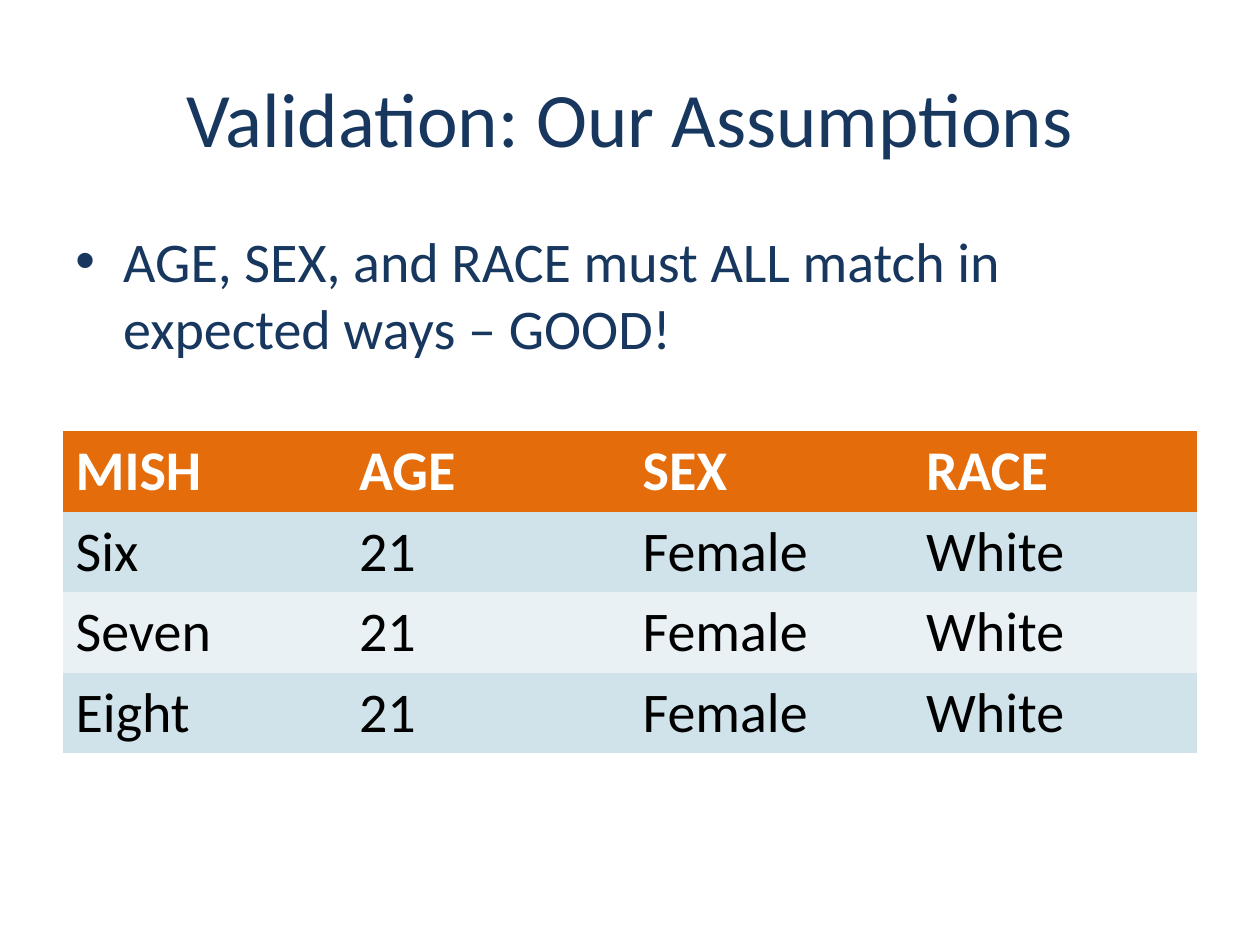
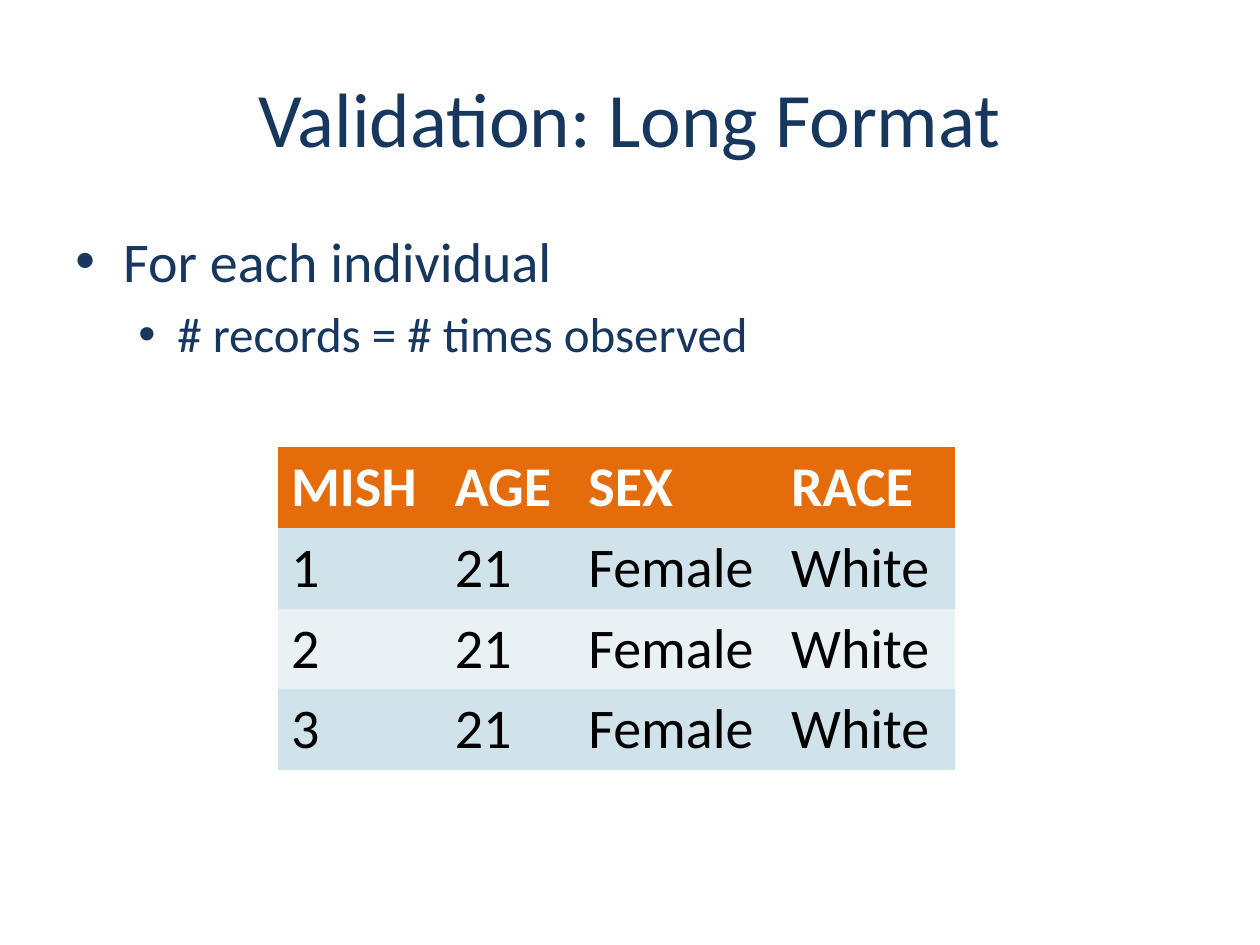
import pptx
import pptx.dml.color
import pptx.enum.text
import pptx.oxml.ns
import pptx.util
from lxml import etree

Inches = pptx.util.Inches
Pt = pptx.util.Pt
RGBColor = pptx.dml.color.RGBColor

# Content: (bullet level, text), table rows, table position and column widths
HEADER = ("MISH", "AGE", "SEX", "RACE")
PERSON = ("21", "Female", "White")
SLIDES = [
    {
        "title": "Validation: Our Assumptions",
        "bullets": [(0, "AGE, SEX, and RACE must ALL match in expected ways – GOOD!")],
        "row_names": ("Six", "Seven", "Eight"),
        "table_at": (0.5, 3.42),
        "columns": (2.25,) * 4,
    },
    {
        "title": "Validation: Long Format",
        "bullets": [(0, "For each individual"), (1, "# records = # times observed")],
        "row_names": ("1", "2", "3"),
        "table_at": (2.21, 3.55),
        "columns": (1.3, 1.06, 1.61, 1.4),
    },
]

# Shared look
NAVY = RGBColor(0x17, 0x37, 0x5E)
ORANGE = RGBColor(0xE4, 0x6C, 0x0A)
WHITE = RGBColor(0xFF, 0xFF, 0xFF)
BLACK = RGBColor(0, 0, 0)
BANDS = (RGBColor(0xD0, 0xE3, 0xEA), RGBColor(0xE9, 0xF1, 0xF5))
PLAIN_TABLE_STYLE = "{2D5ABB26-0587-4C30-8999-92F81FD0307C}"

SLIDE_SIZE = (10, 7.5)
MARGIN = 0.5
CONTENT_WIDTH = SLIDE_SIZE[0] - 2 * MARGIN
TITLE_BOX = (MARGIN, 0.3, CONTENT_WIDTH, 1.25)
BODY_BOX = (MARGIN, 1.75, CONTENT_WIDTH, 4.95)
ROW_HEIGHT = 0.64

TITLE_FONT = {"name": "Calibri", "size": Pt(44), "bold": False}
TABLE_FONT = {"name": "Calibri", "size": Pt(32)}
# Bullet levels: text size, left indent, hanging indent
LEVELS = ((32, 0.38, 0.38), (28, 0.81, 0.31))


def write(paragraph, text, color, font_values):
    run = paragraph.add_run()
    run.text = text
    for name, value in font_values.items():
        setattr(run.font, name, value)
    run.font.color.rgb = color


def add_title(slide, text):
    title = slide.shapes.title
    for name, value in zip(("left", "top", "width", "height"), TITLE_BOX):
        setattr(title, name, Inches(value))
    title.text_frame.vertical_anchor = pptx.enum.text.MSO_ANCHOR.MIDDLE
    paragraph = title.text_frame.paragraphs[0]
    paragraph.alignment = pptx.enum.text.PP_ALIGN.CENTER
    write(paragraph, text, NAVY, TITLE_FONT)


def add_bullets(slide, bullets):
    frame = slide.shapes.add_textbox(*map(Inches, BODY_BOX)).text_frame
    frame.word_wrap = True
    for index, (level, text) in enumerate(bullets):
        paragraph = frame.add_paragraph() if index else frame.paragraphs[0]
        size, left, hanging = LEVELS[level]
        paragraph.level = level
        paragraph.space_before = Pt(0.2 * size)
        properties = paragraph._p.get_or_add_pPr()
        properties.set("marL", str(Inches(left)))
        properties.set("indent", str(-Inches(hanging)))
        for tag, key, value in (("a:buFont", "typeface", "Arial"), ("a:buChar", "char", "•")):
            etree.SubElement(properties, pptx.oxml.ns.qn(tag)).set(key, value)
        write(paragraph, text, NAVY, {"name": "Calibri", "size": Pt(size)})


def add_records(slide, row_names, position, columns):
    rows = [HEADER] + [(name,) + PERSON for name in row_names]
    box = (*position, sum(columns), ROW_HEIGHT * len(rows))
    table = slide.shapes.add_table(len(rows), len(columns), *map(Inches, box)).table
    table.horz_banding = False
    table._tbl.tblPr.find(pptx.oxml.ns.qn("a:tableStyleId")).text = PLAIN_TABLE_STYLE
    for column, width in zip(table.columns, columns):
        column.width = Inches(width)
    for row_index, values in enumerate(rows):
        is_header = row_index == 0
        fill = ORANGE if is_header else BANDS[(row_index - 1) % 2]
        for column_index, text in enumerate(values):
            cell = table.cell(row_index, column_index)
            cell.fill.solid()
            cell.fill.fore_color.rgb = fill
            write(cell.text_frame.paragraphs[0], text, WHITE if is_header else BLACK,
                  {**TABLE_FONT, "bold": is_header})


def main():
    presentation = pptx.Presentation()
    presentation.slide_width, presentation.slide_height = map(Inches, SLIDE_SIZE)
    title_only = presentation.slide_layouts[5]
    for content in SLIDES:
        slide = presentation.slides.add_slide(title_only)
        add_title(slide, content["title"])
        add_bullets(slide, content["bullets"])
        add_records(slide, content["row_names"], content["table_at"], content["columns"])
    presentation.save("out.pptx")


if __name__ == "__main__":
    main()
